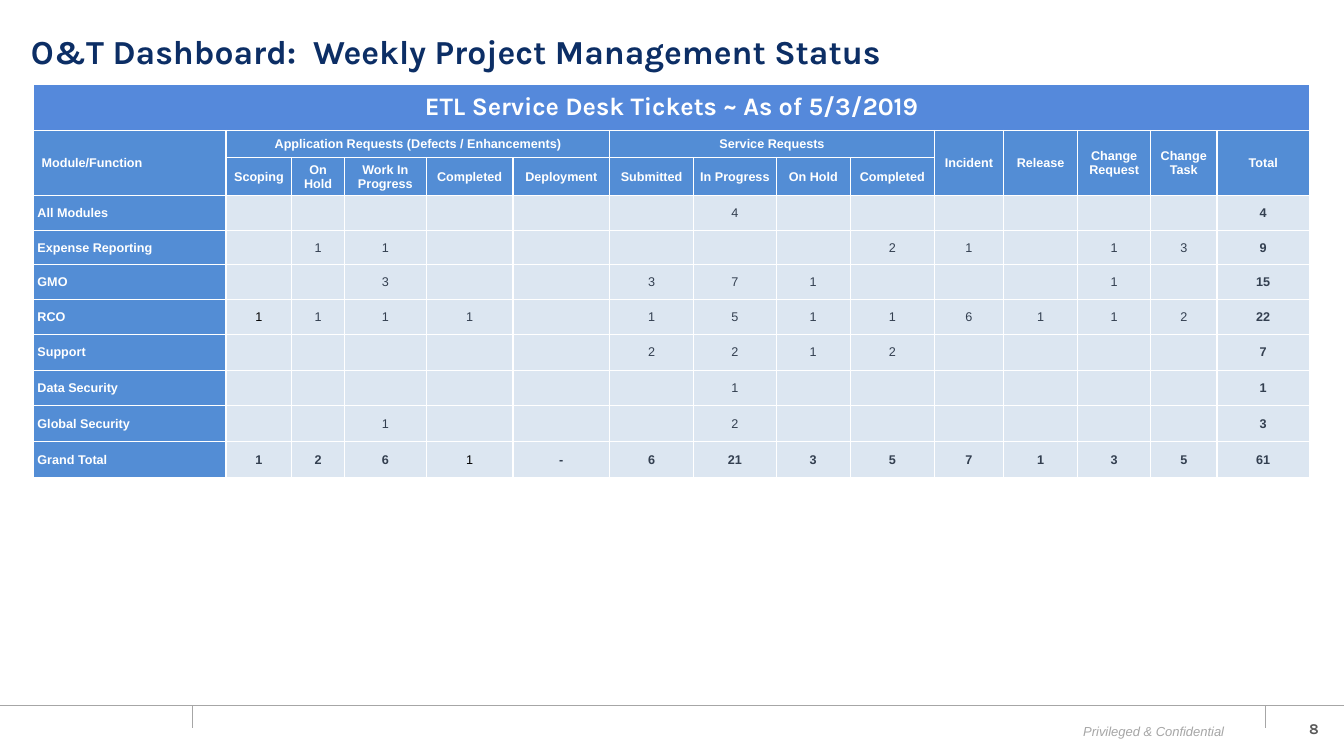
from lxml.etree import SubElement
from pptx import Presentation
from pptx.dml.color import RGBColor
from pptx.enum.shapes import MSO_CONNECTOR
from pptx.enum.text import MSO_ANCHOR, PP_ALIGN
from pptx.oxml.ns import qn
from pptx.util import Pt

COLORS = {
    "white": "FFFFFF", "navy": "0C2E65", "banner": "5589DB", "header": "538DD5",
    "body": "DCE6F1", "slate": "333F50", "black": "000000",
    "rule": "A6A6A6", "page": "595959",
}


def write_text(text_frame, text, size=9, font="Arial", color="white", bold=False,
               italic=False, align=PP_ALIGN.LEFT, indent=0, line_spacing=None):
    """Write one paragraph per line of text in the given format."""
    text_frame.word_wrap = True
    text_frame.text = text
    for paragraph in text_frame.paragraphs:
        paragraph.alignment = align
        if line_spacing:
            paragraph.line_spacing = line_spacing
        if indent:
            properties = paragraph._p.get_or_add_pPr()
            properties.set("marL", str(Pt(indent)))
            properties.set("indent", "0")
        for run in paragraph.runs:
            run.font.size = Pt(size)
            run.font.name = font
            run.font.bold = bold
            run.font.italic = italic
            run.font.color.rgb = RGBColor.from_string(COLORS[color])
        if not paragraph.runs:
            SubElement(paragraph._p, qn("a:endParaRPr"), sz=str(size * 100))


def style_cell(cell, fill, margins, vertical=1, horizontal=0.5):
    """Give a cell white borders, a fill, margins and middle anchoring."""
    properties = cell._tc.get_or_add_tcPr()
    for side, width in zip("LRTB", (vertical, vertical, horizontal, horizontal)):
        line = SubElement(properties, qn(f"a:ln{side}"), w=str(Pt(width)))
        solid = SubElement(line, qn("a:solidFill"))
        SubElement(solid, qn("a:srgbClr"), val=COLORS["white"])
    cell.fill.solid()
    cell.fill.fore_color.rgb = RGBColor.from_string(COLORS[fill])
    cell.margin_left, cell.margin_top, cell.margin_right, cell.margin_bottom = map(Pt, margins)
    cell.vertical_anchor = MSO_ANCHOR.MIDDLE


presentation = Presentation()
presentation.slide_width, presentation.slide_height = Pt(960), Pt(540)
slide = presentation.slides.add_slide(presentation.slide_layouts[6])

# Footer rules
FOOTER_TOP, TICK_BOTTOM = 504, 520
for x1, y1, x2, y2 in [
    (0, FOOTER_TOP, 960, FOOTER_TOP),
    (137.5, FOOTER_TOP, 137.5, TICK_BOTTOM),
    (903.75, FOOTER_TOP, 903.75, TICK_BOTTOM),
]:
    rule = slide.shapes.add_connector(MSO_CONNECTOR.STRAIGHT, Pt(x1), Pt(y1), Pt(x2), Pt(y2))
    rule.line.color.rgb = RGBColor.from_string(COLORS["rule"])
    rule.line.width = Pt(0.25)
    SubElement(rule._element.spPr, qn("a:effectLst"))

# Title and footer texts
for text, box, text_format in [
    ("Privileged & Confidential", (763, 512.75, 118.5, 18.5),
     dict(size=9.3, color="rule", italic=True, align=PP_ALIGN.RIGHT)),
    ("8", (919.5, 510.5, 29.5, 20),
     dict(size=10.7, font="Karla", color="page", bold=True, align=PP_ALIGN.RIGHT)),
    ("O&T Dashboard:  Weekly Project Management Status", (15, 16, 864, 44.5),
     dict(size=24, font="Karla", color="navy", bold=True, line_spacing=0.9)),
]:
    text_box = slide.shapes.add_textbox(*map(Pt, box))
    text_box.text_frame.vertical_anchor = MSO_ANCHOR.MIDDLE
    if text_format.get("italic"):
        text_box.text_frame.margin_left = 0
    write_text(text_box.text_frame, text, **text_format)

# Tables: a banner row above the ticket grid
TABLE_LEFT, BANNER_TOP, BANNER_HEIGHT = 24, 60.25, 32.75
COLUMN_WIDTHS = [137.5, 47, 37.5, 58.5, 62, 69, 60, 59, 53, 60, 49.5, 53, 52, 47.5, 66]
ROW_HEIGHTS = [19.25, 27.25] + [24.8] * 4 + [25.6] * 4
GRID_MARGINS = (0.75, 0.75, 0.75, 0)

tables = []
for top, widths, heights in [
    (BANNER_TOP, [sum(COLUMN_WIDTHS)], [BANNER_HEIGHT]),
    (BANNER_TOP + BANNER_HEIGHT, COLUMN_WIDTHS, ROW_HEIGHTS),
]:
    table = slide.shapes.add_table(
        len(heights), len(widths), Pt(TABLE_LEFT), Pt(top), Pt(sum(widths)), Pt(sum(heights))
    ).table
    table.first_row = table.horz_banding = False
    for column, width in zip(table.columns, widths):
        column.width = Pt(width)
    for row, height in zip(table.rows, heights):
        row.height = Pt(height)
    tables.append(table)
banner, grid = tables

style_cell(banner.cell(0, 0), "banner", (7.2, 3.6, 7.2, 3.6), horizontal=1)
write_text(banner.cell(0, 0).text_frame, "ETL Service Desk Tickets ~ As of 5/3/2019",
           size=18, font="Karla", bold=True, align=PP_ALIGN.CENTER)

# Header: text, first row, first column, last row, last column
headers = [
    ("Module/Function", 0, 0, 1, 0),
    ("Application Requests (Defects / Enhancements)", 0, 1, 0, 5),
    ("Service Requests", 0, 6, 0, 9),
]
stages = ["Scoping", "On\nHold", "Work In Progress", "Completed", "Deployment",
          "Submitted", "In Progress", "On Hold", "Completed"]
headers += [(stage, 1, column, 1, column) for column, stage in enumerate(stages, 1)]
single_types = ["Incident", "Release", "Change Request", "Change Task", "Total"]
headers += [(name, 0, column, 1, column) for column, name in enumerate(single_types, 10)]

for row in range(2):
    for column in range(len(COLUMN_WIDTHS)):
        style_cell(grid.cell(row, column), "header", GRID_MARGINS)
        write_text(grid.cell(row, column).text_frame, "")
for text, row, column, last_row, last_column in headers:
    cell = grid.cell(row, column)
    if (row, column) != (last_row, last_column):
        cell.merge(grid.cell(last_row, last_column))
    write_text(cell.text_frame, text, bold=True, indent=0 if column else 5,
               align=PP_ALIGN.CENTER if column else PP_ALIGN.LEFT)

# Ticket counts by module; a dot marks an empty cell
tickets = {
    "All Modules":       ". . . . . . 4 . . . . . . 4",
    "Expense Reporting": ". 1 1 . . . . . 2 1 . 1 3 9",
    "GMO":               ". . 3 . . 3 7 1 . . . 1 . 15",
    "RCO":               "1 1 1 1 . 1 5 1 1 6 1 1 2 22",
    "Support":           ". . . . . 2 2 1 2 . . . . 7",
    "Data Security":     ". . . . . . 1 . . . . . . 1",
    "Global Security":   ". . 1 . . . 2 . . . . . . 3",
    "Grand Total":       "1 2 6 1 - 6 21 3 5 7 1 3 5 61",
}
TOTAL_COLUMN = len(COLUMN_WIDTHS) - 1
black_counts = [("RCO", 1), ("Grand Total", 4)]

for row, (module, counts) in enumerate(tickets.items(), 2):
    style_cell(grid.cell(row, 0), "header", GRID_MARGINS)
    write_text(grid.cell(row, 0).text_frame, module, bold=True, indent=2)
    for column, count in enumerate(counts.split(), 1):
        is_black = (module, column) in black_counts
        is_total = module == "Grand Total" or column == TOTAL_COLUMN
        style_cell(grid.cell(row, column), "body", GRID_MARGINS)
        write_text(grid.cell(row, column).text_frame, "" if count == "." else count,
                   color="black" if is_black else "slate",
                   bold=is_total and not is_black, align=PP_ALIGN.CENTER)

presentation.save("out.pptx")
